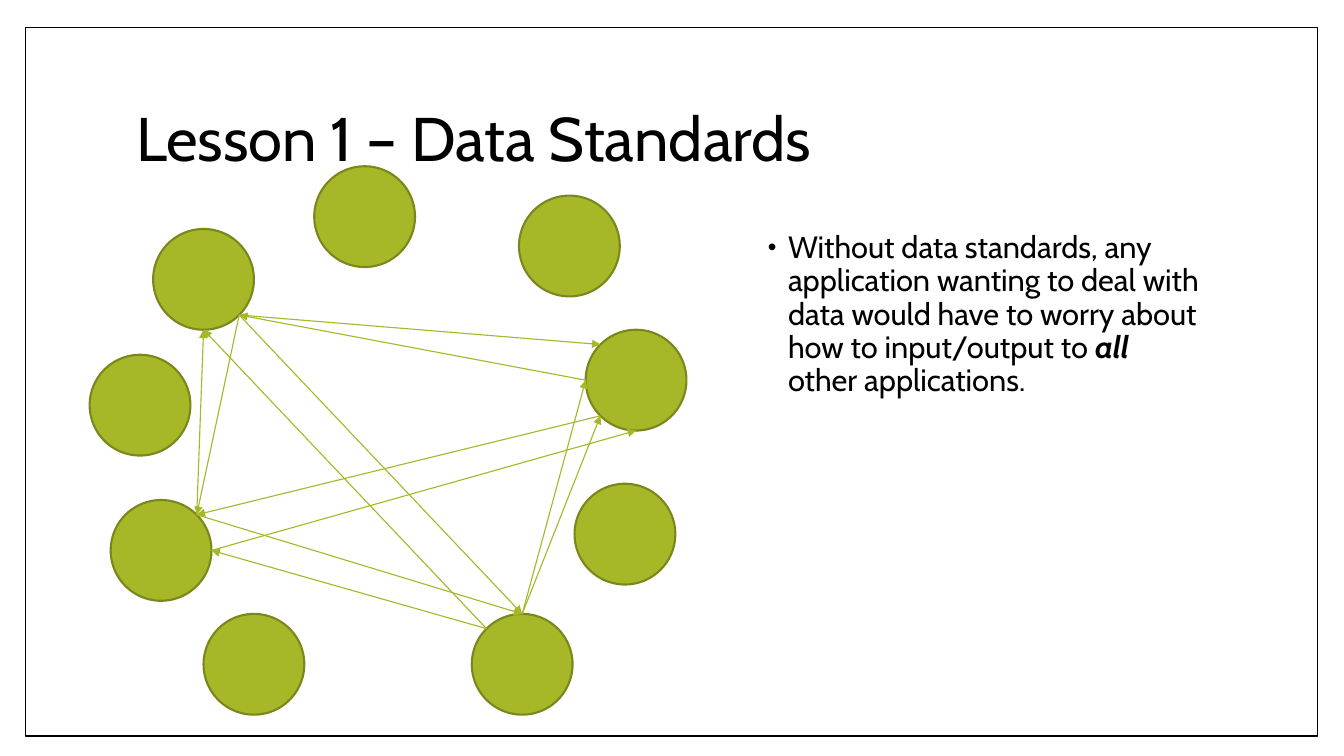
"""Build the data standards slide with its web of applications."""
import math
from lxml import etree
from pptx import Presentation
from pptx import util as u
from pptx.dml.color import RGBColor
from pptx.enum import shapes, text
from pptx.oxml import ns

TITLE = [("Lesson 1 – Data Standards", {})]
BODY = [
    ("Without data standards, any application wanting to deal with data "
     "would have to worry about how to input/output to ", {}),
    ("all", {"bold": True, "italic": True}),
    (" other applications.", {}),
]
FRAME = (0.64, 0.69, 32.56, 17.86)
TITLE_BOX = (3.18, 1.7, 27.43, 3.76)
BODY_BOX = (18.97, 5.72, 11.63, 11.23)
DIAMETER = 2.54
APPLICATIONS = {
    "upper left": (3.86, 5.77),
    "left": (2.26, 8.94),
    "lower left": (2.79, 12.6),
    "bottom left": (5.13, 15.47),
    "bottom right": (11.89, 15.47),
    "lower right": (14.48, 12.19),
    "right": (14.76, 8.31),
    "upper right": (13.08, 4.93),
    "top": (7.92, 4.19),
}
ANGLES = {"E": 0, "SE": 45, "S": 90, "SW": 135, "W": 180, "NW": 225, "N": 270, "NE": 315}
ARROWS = [
    (("lower left", "E"), ("right", "S")),
    (("right", "SW"), ("lower left", "NE")),
    (("bottom right", "NW"), ("lower left", "E")),
    (("lower left", "NE"), ("bottom right", "N")),
    (("bottom right", "N"), ("right", "SW")),
    (("bottom right", "N"), ("right", "W")),
    (("upper left", "SE"), ("lower left", "NE")),
    (("lower left", "NE"), ("upper left", "S")),
    (("upper left", "SE"), ("right", "NW")),
    (("right", "W"), ("upper left", "SE")),
    (("bottom right", "NW"), ("upper left", "S")),
    (("upper left", "SE"), ("bottom right", "N")),
]


def color(value):
    return RGBColor.from_string(value)


def lengths(values):
    return [u.Cm(value) for value in values]


def add_element(parent, tag, **attributes):
    return etree.SubElement(parent, ns.qn(tag), attributes)


def add_figure(slide, kind, box, fill, line, width):
    shape = slide.shapes.add_shape(kind, *lengths(box))
    shape.shadow.inherit = False
    shape.fill.solid()
    shape.fill.fore_color.rgb = color(fill)
    shape.line.color.rgb = color(line)
    shape.line.width = u.Pt(width)


def add_text(slide, box, runs, size, anchor, bullet=False):
    frame = slide.shapes.add_textbox(*lengths(box)).text_frame
    frame.word_wrap = True
    frame.vertical_anchor = anchor
    paragraph = frame.paragraphs[0]
    if bullet:
        properties = paragraph._p.get_or_add_pPr()
        properties.set("marL", str(u.Cm(0.64)))
        properties.set("indent", str(u.Cm(-0.51)))
        bullet_color = add_element(properties, "a:buClr")
        add_element(bullet_color, "a:srgbClr", val="000000")
        add_element(properties, "a:buSzPct", val="80000")
        add_element(properties, "a:buFont", typeface="Arial")
        add_element(properties, "a:buChar", char="•")
    paragraph.line_spacing = 0.9
    for words, style in runs:
        run = paragraph.add_run()
        run.text = words
        values = {"name": "Cabin", "size": u.Pt(size), **style}
        for name, value in values.items():
            setattr(run.font, name, value)
        run.font.color.rgb = color("000000")


def rim_point(application, direction):
    left, top = APPLICATIONS[application]
    angle = math.radians(ANGLES[direction])
    radius = DIAMETER / 2
    return (left + radius * (1 + math.cos(angle)), top + radius * (1 + math.sin(angle)))


def add_arrow(slide, start, end):
    points = lengths(rim_point(*start) + rim_point(*end))
    connector = slide.shapes.add_connector(shapes.MSO_CONNECTOR.STRAIGHT, *points)
    connector.line.color.rgb = color("A6B727")
    connector.line.width = u.Pt(0.79)
    add_element(connector.line._get_or_add_ln(), "a:tailEnd", type="triangle")
    add_element(connector._element.spPr, "a:effectLst")


def main():
    presentation = Presentation()
    presentation.slide_width = u.Cm(33.87)
    presentation.slide_height = u.Cm(19.05)
    slide = presentation.slides.add_slide(presentation.slide_layouts[6])
    add_figure(slide, shapes.MSO_SHAPE.RECTANGLE, FRAME, "FFFFFF", "000000", 1)
    add_text(slide, TITLE_BOX, TITLE, 44, text.MSO_ANCHOR.MIDDLE)
    for corner in APPLICATIONS.values():
        box = (*corner, DIAMETER, DIAMETER)
        add_figure(slide, shapes.MSO_SHAPE.OVAL, box, "A6B727", "7B871D", 1.5)
    add_text(slide, BODY_BOX, BODY, 22, text.MSO_ANCHOR.TOP, bullet=True)
    for start, end in ARROWS:
        add_arrow(slide, start, end)
    presentation.save("out.pptx")


if __name__ == "__main__":
    main()
